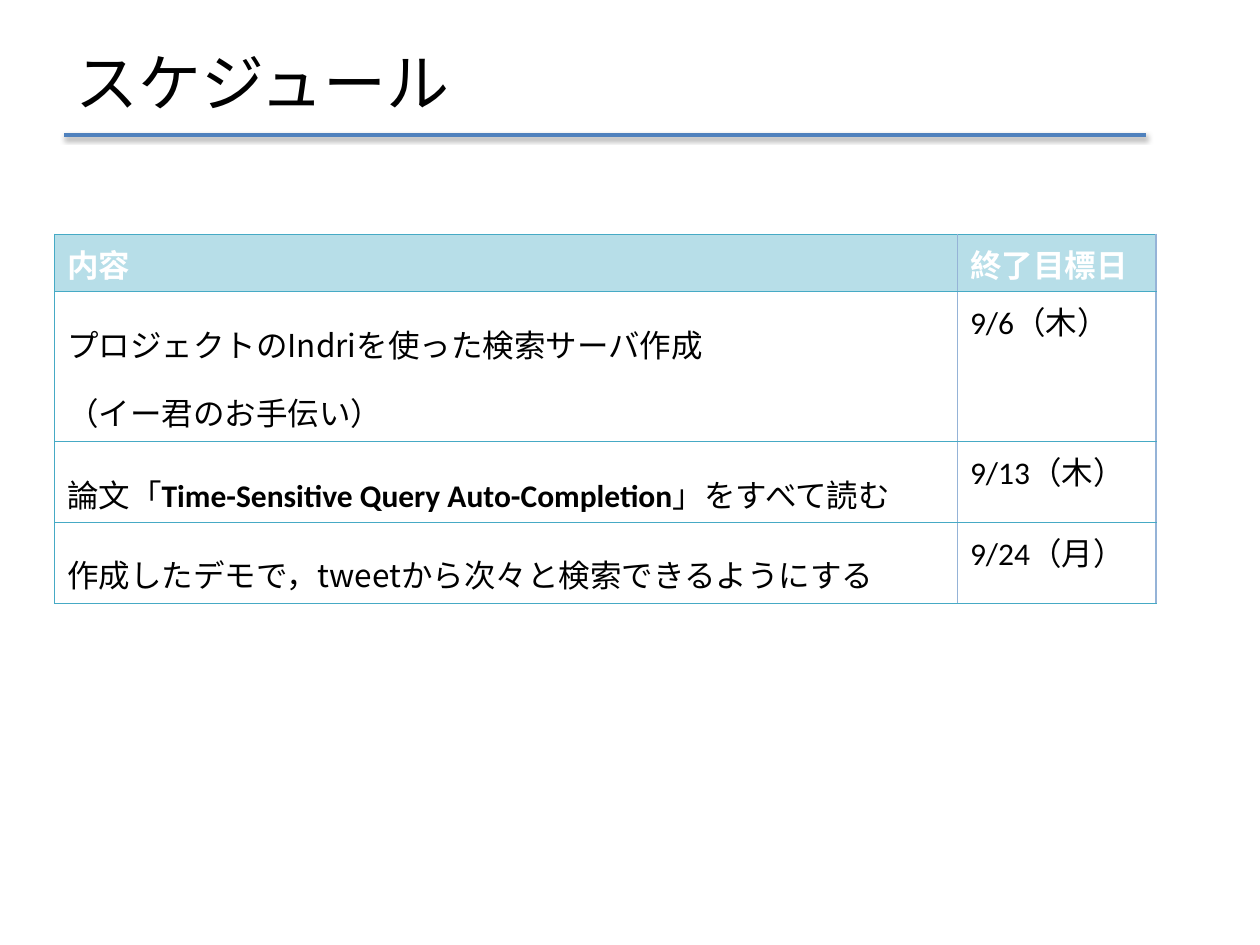
from dataclasses import dataclass

from lxml import etree
from pptx import Presentation
from pptx.dml.color import RGBColor
from pptx.enum.shapes import MSO_CONNECTOR
from pptx.enum.text import MSO_ANCHOR
from pptx.oxml.ns import qn
from pptx.util import Cm, Pt

MIDDLE = MSO_ANCHOR.MIDDLE
STRAIGHT = MSO_CONNECTOR.STRAIGHT


@dataclass(frozen=True)
class Theme:
    latin: str = "Calibri"
    japanese: str = "Noto Sans CJK JP"
    title_size: float = 36
    table_size: float = 18
    ink: str = "000000"
    header_ink: str = "FFFFFF"
    header_fill: str = "B7DEE8"
    rule: str = "4F81BD"
    teal: str = "46AAC5"
    blue: str = "95B3D7"


THEME = Theme()
TITLE = "スケジュール"
COLUMN_WIDTHS = (18.2, 4)
ROW_HEIGHTS = (1.16, 3.02, 1.63, 1.63)
HEADERS = ("内容", "終了目標日")
TASKS = (
    (
        (
            (("プロジェクトのIndriを使った検索サーバ作成", False),),
            (("（イー君のお手伝い）", False),),
        ),
        "9/6（木）",
    ),
    (
        (
            (
                ("論文「", False),
                ("Time-Sensitive Query Auto-Completion", True),
                ("」をすべて読む", False),
            ),
        ),
        "9/13（木）",
    ),
    (
        ((("作成したデモで，tweetから次々と検索できるようにする", False),),),
        "9/24（月）",
    ),
)


def add_node(parent, tag, **attributes):
    values = {key: str(value) for key, value in attributes.items()}
    return etree.SubElement(parent, qn(tag), values)


def add_span(para, text, color, **formats):
    span = para.add_run()
    span.text = text
    span.font.color.rgb = RGBColor.from_string(color)
    for name, value in formats.items():
        setattr(span.font, name, value)
    add_node(span.font._element, "a:ea", typeface=THEME.japanese)


def add_title(page):
    box = page.shapes.add_textbox(Cm(1.28), Cm(0.76), Cm(20.75), Cm(1.75))
    frame = box.text_frame
    frame.word_wrap = True
    frame.vertical_anchor = MIDDLE
    add_span(frame.paragraphs[0], TITLE, THEME.ink,
             name=THEME.japanese, size=Pt(THEME.title_size), bold=False)


def add_rule(page):
    rule = page.shapes.add_connector(STRAIGHT, Cm(1.3), Cm(2.72), Cm(23.1), Cm(2.72))
    rule.line.color.rgb = RGBColor.from_string(THEME.rule)
    rule.line.width = Pt(2)
    effects = add_node(rule._element.spPr, "a:effectLst")
    shadow = add_node(effects, "a:outerShdw", blurRad=Pt(3.1), dist=Pt(1.6),
                      dir=90 * 60000, rotWithShape=0)
    color = add_node(shadow, "a:srgbClr", val=THEME.ink)
    add_node(color, "a:alpha", val=38000)


def set_borders(cell, left_color):
    borders = {
        "a:lnL": (left_color, 0.75 if left_color == THEME.teal else 1),
        "a:lnR": (THEME.blue, 1),
        "a:lnT": (THEME.teal, 0.75),
        "a:lnB": (THEME.teal, 0.75),
    }
    properties = cell._tc.get_or_add_tcPr()
    for tag, (color, width) in borders.items():
        line = add_node(properties, tag, w=Pt(width))
        add_node(add_node(line, "a:solidFill"), "a:srgbClr", val=color)


def fill_cell(cell, paragraphs, color=THEME.ink, fill=None, spacing=None, font=THEME.latin):
    if fill:
        cell.fill.solid()
        cell.fill.fore_color.rgb = RGBColor.from_string(fill)
    else:
        cell.fill.background()
    frame = cell.text_frame
    for index, spans in enumerate(paragraphs):
        para = frame.add_paragraph() if index else frame.paragraphs[0]
        para.line_spacing = spacing
        for text, bold in spans:
            add_span(para, text, color, name=THEME.latin if bold else font,
                     size=Pt(THEME.table_size), bold=bold)


def add_schedule(page):
    holder = page.shapes.add_table(len(ROW_HEIGHTS), len(HEADERS), Cm(1.1), Cm(4.72),
                                   Cm(sum(COLUMN_WIDTHS)), Cm(sum(ROW_HEIGHTS)))
    table = holder.table
    table.first_row = False
    table.horz_banding = False
    for column, width in zip(table.columns, COLUMN_WIDTHS):
        column.width = Cm(width)
    for row, height in zip(table.rows, ROW_HEIGHTS):
        row.height = Cm(height)
        for cell, left_color in zip(row.cells, (THEME.teal, THEME.blue)):
            set_borders(cell, left_color)
    for column, header in enumerate(HEADERS):
        fill_cell(table.cell(0, column), (((header, True),),),
                  color=THEME.header_ink, fill=THEME.header_fill)
    for row, (task, due) in enumerate(TASKS, start=1):
        fill_cell(table.cell(row, 0), task, spacing=1.5, font=THEME.japanese)
        fill_cell(table.cell(row, 1), (((due, False),),))


def main():
    deck = Presentation()
    deck.slide_width = Cm(25.4)
    deck.slide_height = Cm(19.05)
    page = deck.slides.add_slide(deck.slide_layouts[6])
    add_title(page)
    add_schedule(page)
    add_rule(page)
    deck.save("out.pptx")


main()
